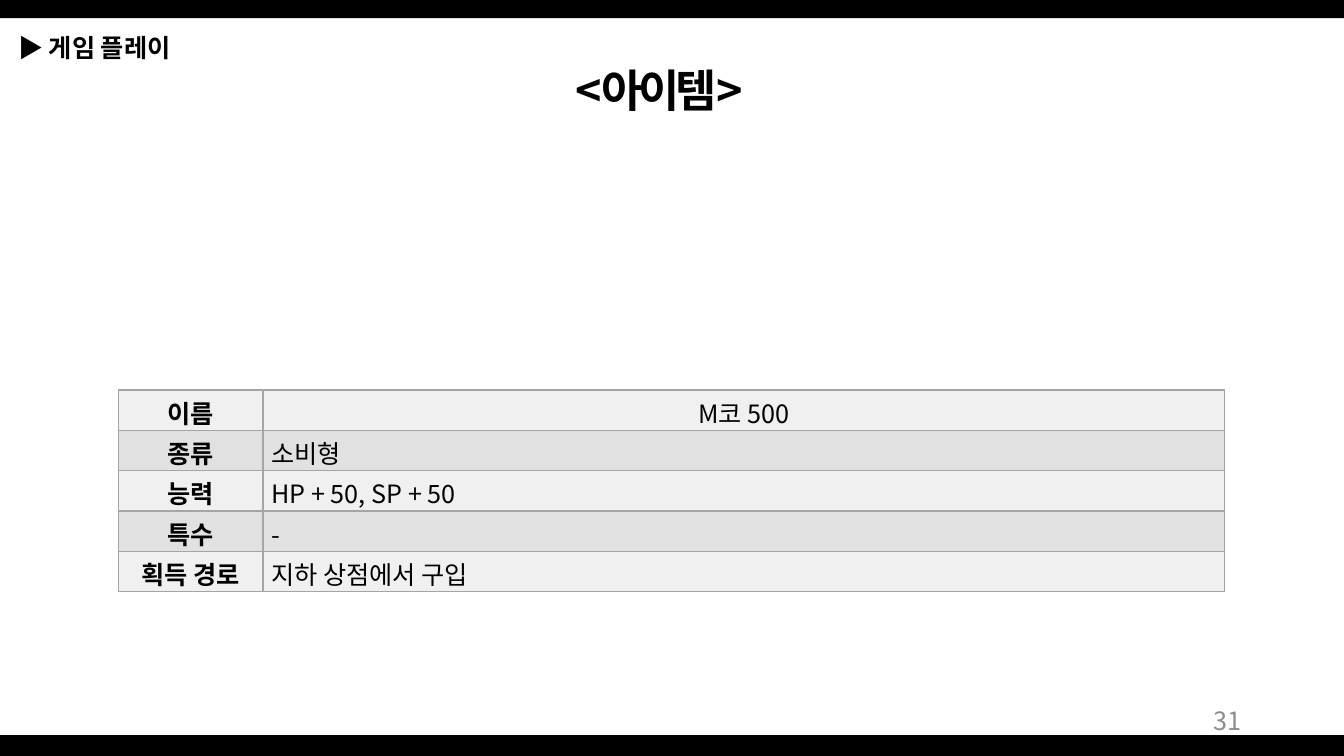
from dataclasses import dataclass

from lxml import etree
from pptx import Presentation
from pptx.dml.color import RGBColor
from pptx.enum import shapes, text
from pptx.oxml import ns
from pptx.util import Pt

SECTION = ("▶ ", "게임 플레이")
TITLE = "<아이템>"
PAGE = "31"
ITEM = [
    ("이름", "M코 500"),
    ("종류", "소비형"),
    ("능력", "HP + 50, SP + 50"),
    ("특수", "-"),
    ("획득 경로", "지하 상점에서 구입"),
]


@dataclass(frozen=True)
class Theme:
    font: str = "Noto Sans CJK KR"
    ink: str = "000000"
    muted: str = "8C8C8C"
    border: str = "A5A5A5"
    bands: tuple = ("F0F0F0", "E1E1E1")
    title_size: int = 32
    body_size: int = 18


THEME = Theme()
WIDTH, HEIGHT = 960, 540
TOP_BAR, BOTTOM_BAR = 13, 15
TABLE_LEFT, TABLE_TOP = 84.8, 278.6
COLUMNS = (103, 687)
ROW_HEIGHT = 28.8
CENTER, RIGHT = text.PP_ALIGN.CENTER, text.PP_ALIGN.RIGHT


def style(font, size=THEME.body_size, color=THEME.ink, bold=False):
    font.name, font.size, font.bold = THEME.font, Pt(size), bold
    font.color.rgb = RGBColor.from_string(color)
    east_asian = etree.SubElement(font._element, ns.qn("a:ea"))
    east_asian.set("typeface", THEME.font)


def add_bar(slide, top, height):
    bar = slide.shapes.add_shape(
        shapes.MSO_SHAPE.RECTANGLE, 0, Pt(top), Pt(WIDTH), Pt(height))
    bar.shadow.inherit = False
    bar.fill.solid()
    bar.fill.fore_color.rgb = RGBColor.from_string(THEME.ink)
    bar.line.fill.background()


def add_label(slide, left, top, width, height):
    frame = slide.shapes.add_textbox(
        Pt(left), Pt(top), Pt(width), Pt(height)).text_frame
    frame.word_wrap = True
    return frame


def add_borders(cell):
    properties = cell._tc.get_or_add_tcPr()
    for side in ("lnL", "lnR", "lnT", "lnB"):
        line = etree.SubElement(properties, ns.qn(f"a:{side}"), w=str(Pt(1)))
        fill = etree.SubElement(line, ns.qn("a:solidFill"))
        etree.SubElement(fill, ns.qn("a:srgbClr"), val=THEME.border)


def fill_cell(cell, content, band, bold, align):
    add_borders(cell)
    cell.fill.solid()
    cell.fill.fore_color.rgb = RGBColor.from_string(band)
    cell.margin_left = cell.margin_right = Pt(6)
    cell.margin_top, cell.margin_bottom = Pt(2.7), 0
    cell.vertical_anchor = text.MSO_ANCHOR.MIDDLE
    paragraph = cell.text_frame.paragraphs[0]
    paragraph.text = content
    paragraph.alignment = align
    style(paragraph.font, bold=bold)


def add_item_table(slide):
    table = slide.shapes.add_table(
        len(ITEM), len(COLUMNS), Pt(TABLE_LEFT), Pt(TABLE_TOP),
        Pt(sum(COLUMNS)), Pt(ROW_HEIGHT * len(ITEM))).table
    for column, width in zip(table.columns, COLUMNS):
        column.width = Pt(width)
    for index, (heading, value) in enumerate(ITEM):
        band = THEME.bands[index % 2]
        value_align = CENTER if index == 0 else None
        fill_cell(table.cell(index, 0), heading, band, True, CENTER)
        fill_cell(table.cell(index, 1), value, band, False, value_align)


def add_title(slide):
    title = slide.shapes.title
    title.left, title.top = Pt(363.6), Pt(41)
    title.width, title.height = Pt(214.6), Pt(46)
    frame = title.text_frame
    frame.vertical_anchor = text.MSO_ANCHOR.TOP
    frame.auto_size = text.MSO_AUTO_SIZE.NONE
    paragraph = frame.paragraphs[0]
    paragraph.text = TITLE
    paragraph.alignment = CENTER
    style(paragraph.font, THEME.title_size, bold=True)
    paragraph.font._element.set("spc", "-300")


def add_section(slide):
    paragraph = add_label(slide, 5.8, 19.4, 297, 29).paragraphs[0]
    for part, bold in zip(SECTION, (False, True)):
        run = paragraph.add_run()
        run.text = part
        style(run.font, bold=bold)


def add_page_number(slide):
    frame = add_label(slide, 678, 500.4, 216, 28.8)
    frame.vertical_anchor = text.MSO_ANCHOR.MIDDLE
    paragraph = frame.paragraphs[0]
    paragraph.text = PAGE
    paragraph.alignment = RIGHT
    style(paragraph.font, color=THEME.muted)


def main():
    deck = Presentation()
    deck.slide_width, deck.slide_height = Pt(WIDTH), Pt(HEIGHT)
    slide = deck.slides.add_slide(deck.slide_layouts[5])
    add_bar(slide, HEIGHT - BOTTOM_BAR, BOTTOM_BAR)
    add_bar(slide, 0, TOP_BAR)
    add_title(slide)
    add_page_number(slide)
    add_item_table(slide)
    add_section(slide)
    deck.save("out.pptx")


if __name__ == "__main__":
    main()
